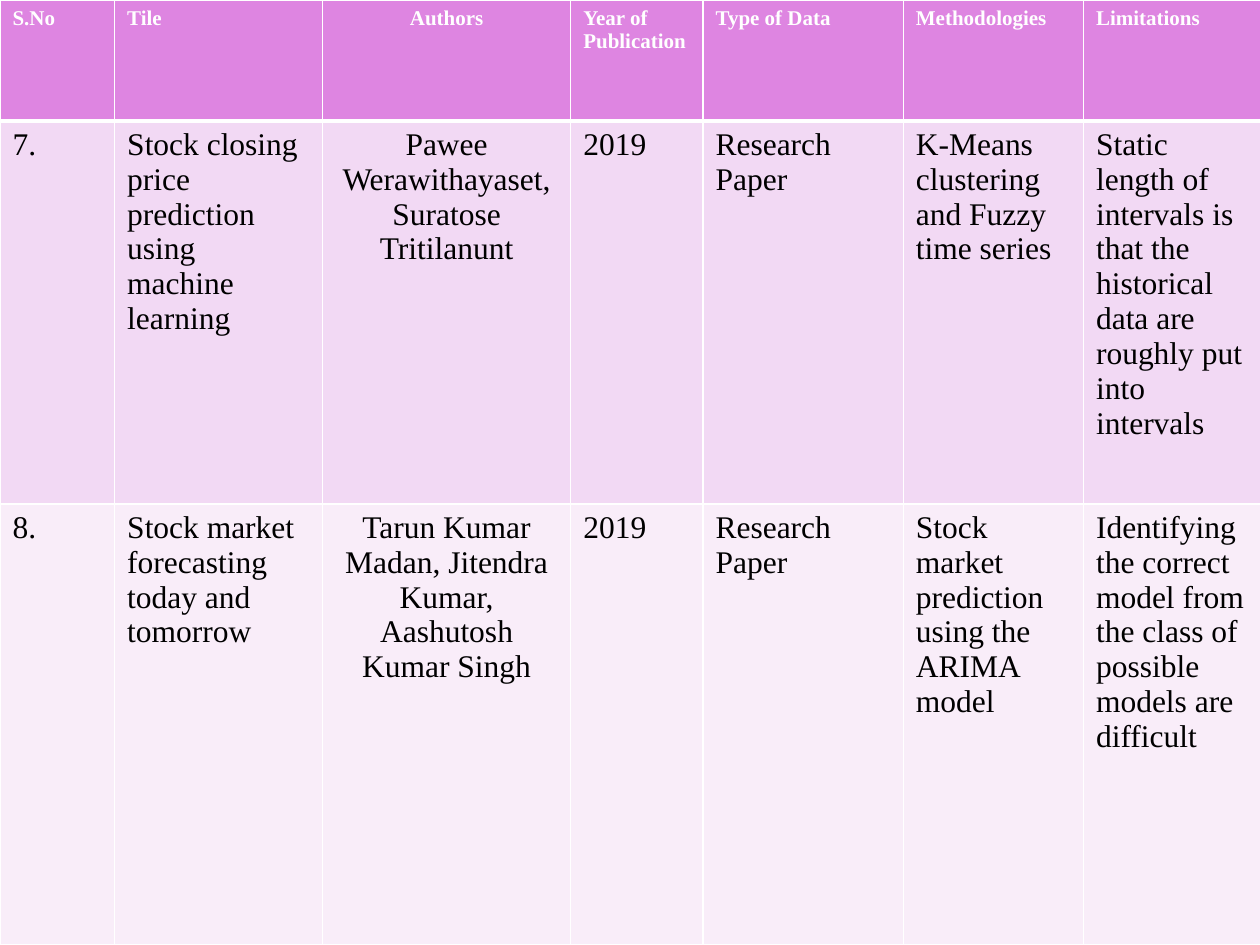
from lxml import etree
from pptx import Presentation
from pptx.dml.color import RGBColor
from pptx.enum.text import PP_ALIGN
from pptx.oxml.ns import qn
from pptx.util import Inches, Pt

LEFT, CENTER = PP_ALIGN.LEFT, PP_ALIGN.CENTER

WHITE = RGBColor(0xFF, 0xFF, 0xFF)
BLACK = RGBColor(0x00, 0x00, 0x00)
ORCHID = RGBColor(0xDE, 0x85, 0xE1)
PINK = RGBColor(0xF2, 0xD9, 0xF4)
PALE_PINK = RGBColor(0xF9, 0xED, 0xF9)
SKY_TOP = RGBColor(0xE9, 0xC8, 0xEF)
SKY_BOTTOM = RGBColor(0x89, 0xAE, 0xDB)

COLUMN_WIDTHS = [0.91, 1.65, 1.97, 1.05, 1.59, 1.43, 1.43]
ROW_HEIGHTS = [0.96, 3.04, 3.5]
ROW_FILLS = [ORCHID, PINK, PALE_PINK]
AUTHORS_COLUMN = 2

PAPERS = [
    ["S.No", "Tile", "Authors", "Year of Publication", "Type of Data",
     "Methodologies", "Limitations"],
    ["7.", "Stock closing price prediction using machine\nlearning",
     "Pawee Werawithayaset, Suratose Tritilanunt", "2019", "Research Paper",
     "K-Means clustering and Fuzzy time series",
     "Static length of intervals is that the historical data are roughly put "
     "into intervals"],
    ["8.", "Stock market forecasting today and tomorrow",
     "Tarun Kumar Madan, Jitendra Kumar, Aashutosh Kumar Singh", "2019",
     "Research Paper", "Stock market prediction using the ARIMA model",
     "Identifying the correct model from the class of possible models are "
     "difficult"],
]


class SlideBuilder:
    def __init__(self, slide, font):
        self.slide = slide
        self.font = font

    def background(self, top, bottom):
        fill = self.slide.background.fill
        fill.gradient()
        fill.gradient_angle = 270
        for stop, color, position in zip(fill.gradient_stops, (top, bottom), (0, 1)):
            stop.color.rgb = color
            stop.position = position

    def table(self, rows, widths, heights, fills):
        frame = self.slide.shapes.add_table(
            len(rows), len(widths), 0, 0,
            Inches(sum(widths)), Inches(sum(heights)))
        table = frame.table
        for column, width in zip(table.columns, widths):
            column.width = Inches(width)
        for row, height in zip(table.rows, heights):
            row.height = Inches(height)
        for r, texts in enumerate(rows):
            for c, text in enumerate(texts):
                cell = table.cell(r, c)
                self.borders(cell, top=3 if r == 1 else 1, bottom=3 if r == 0 else 1)
                cell.fill.solid()
                cell.fill.fore_color.rgb = fills[r]
                self.cell_text(cell, text, header=r == 0,
                               align=CENTER if c == AUTHORS_COLUMN else LEFT)

    def borders(self, cell, top, bottom):
        """Add white edges, widths in points; call before filling the cell."""
        properties = cell._tc.get_or_add_tcPr()
        for tag, width in (("a:lnL", 1), ("a:lnR", 1), ("a:lnT", top), ("a:lnB", bottom)):
            line = etree.SubElement(properties, qn(tag), w=str(Pt(width)))
            solid = etree.SubElement(line, qn("a:solidFill"))
            etree.SubElement(solid, qn("a:srgbClr"), val=str(WHITE))

    def cell_text(self, cell, text, header, align):
        text_frame = cell.text_frame
        for index, words in enumerate(text.split("\n")):
            para = text_frame.add_paragraph() if index else text_frame.paragraphs[0]
            para.alignment = align
            span = para.add_run()
            span.text = words
            span.font.name = self.font
            span.font.size = Pt(12 if header else 18)
            span.font.bold = header
            span.font.color.rgb = WHITE if header else BLACK


def main():
    deck = Presentation()
    deck.slide_width, deck.slide_height = Inches(10), Inches(7.5)
    blank_layout = deck.slide_layouts[6]
    page = SlideBuilder(deck.slides.add_slide(blank_layout), "Times New Roman")
    page.background(SKY_TOP, SKY_BOTTOM)
    page.table(PAPERS, COLUMN_WIDTHS, ROW_HEIGHTS, ROW_FILLS)
    deck.save("out.pptx")


if __name__ == "__main__":
    main()
